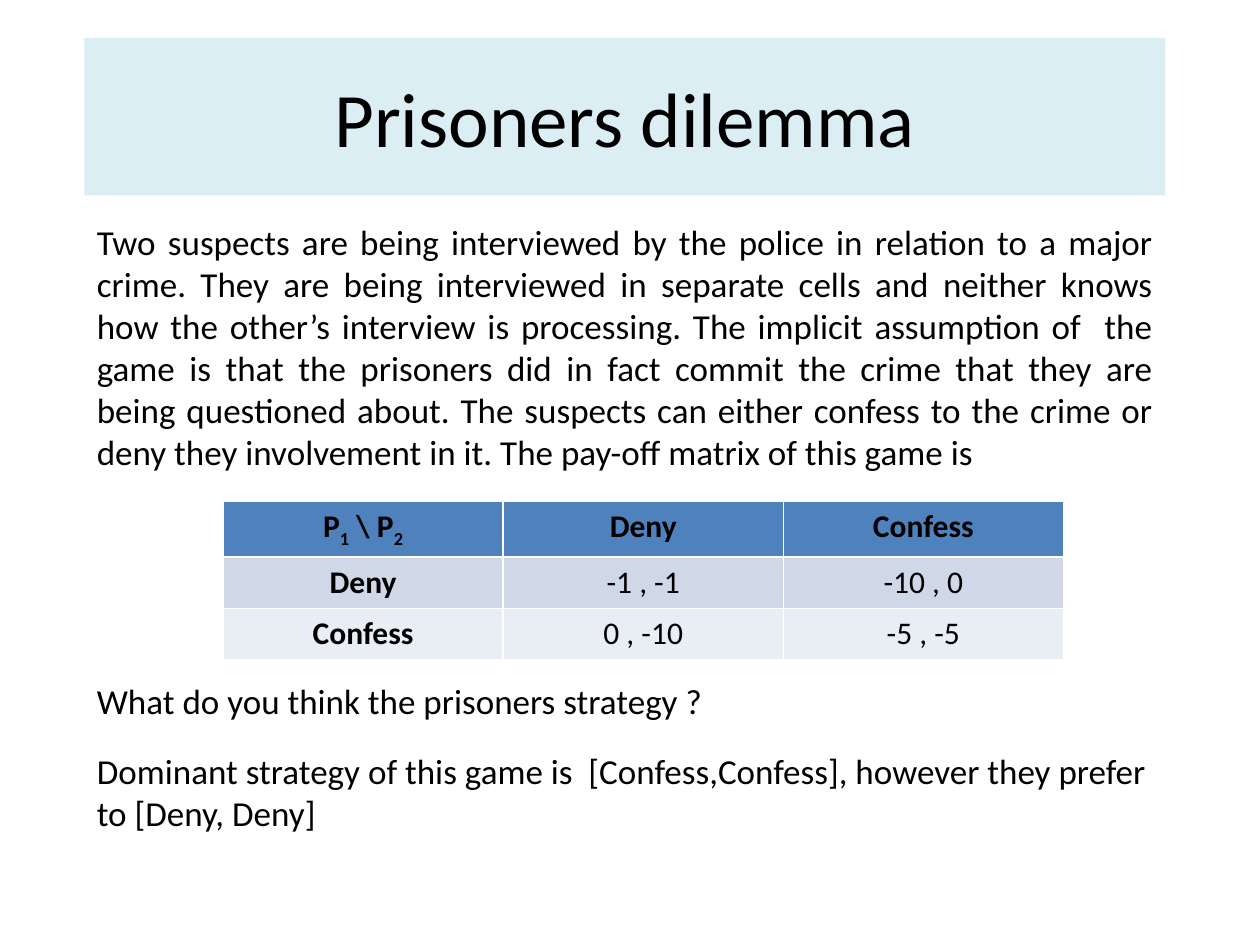
import pptx
import pptx.dml.color
import pptx.enum.shapes
import pptx.enum.text
import pptx.util

Inches = pptx.util.Inches
Pt = pptx.util.Pt
RGBColor = pptx.dml.color.RGBColor
ALIGN = pptx.enum.text.PP_ALIGN
ANCHOR = pptx.enum.text.MSO_ANCHOR

BLACK = RGBColor(0x00, 0x00, 0x00)
PALE_AQUA = RGBColor(0xDB, 0xEE, 0xF4)
HEADER_BLUE = RGBColor(0x4F, 0x81, 0xBD)
BAND_DARK = RGBColor(0xD0, 0xD8, 0xE8)
BAND_LIGHT = RGBColor(0xE9, 0xED, 0xF4)

LEFT, WIDTH = 0.67, 8.58
STORY = (
    "Two suspects are being interviewed by the police in relation to a major crime. "
    "They are being interviewed in separate cells and neither knows how the other’s "
    "interview is processing. The implicit assumption of  the game is that the prisoners "
    "did in fact commit the crime that they are being questioned about. The suspects can "
    "either confess to the crime or deny they involvement in it. The pay-off matrix of "
    "this game is "
)
QUESTION = "What do you think the prisoners strategy ?"
ANSWER = (
    "Dominant strategy of this game is  [Confess,Confess], "
    "however they prefer to [Deny, Deny]"
)
PAYOFFS = [
    [("P", "1", " \\ P", "2"), ("Deny",), ("Confess",)],
    [("Deny",), ("-1 , -1",), ("-10 , 0",)],
    [("Confess",), ("0 , -10",), ("-5 , -5",)],
]
ROW_FILLS = [HEADER_BLUE, BAND_DARK, BAND_LIGHT]


class SlideBuilder:
    def __init__(self, slide, font="Calibri", color=BLACK):
        self.slide = slide
        self.font = font
        self.color = color

    def add_runs(self, tf, parts, size, align, bold=False):
        p = tf.paragraphs[0]
        p.alignment = align
        for i, part in enumerate(parts):
            r = p.add_run()
            r.text = part
            values = {"name": self.font, "size": Pt(size), "bold": bold}
            for name, value in values.items():
                setattr(r.font, name, value)
            r.font.color.rgb = self.color
            if i % 2:
                r._r.get_or_add_rPr().set("baseline", "-25000")

    def banner(self, text, top, height):
        sp = self.slide.shapes.add_shape(
            pptx.enum.shapes.MSO_SHAPE.RECTANGLE,
            Inches(LEFT), Inches(top), Inches(WIDTH), Inches(height),
        )
        sp.shadow.inherit = False
        sp.fill.solid()
        sp.fill.fore_color.rgb = PALE_AQUA
        sp.line.fill.background()
        sp.text_frame.vertical_anchor = ANCHOR.MIDDLE
        self.add_runs(sp.text_frame, [text], 44, ALIGN.CENTER)

    def text(self, text, top, height, width=WIDTH, align=ALIGN.LEFT, wrap=True):
        sp = self.slide.shapes.add_textbox(
            Inches(LEFT), Inches(top), Inches(width), Inches(height)
        )
        tf = sp.text_frame
        values = {
            "word_wrap": wrap,
            "auto_size": pptx.enum.text.MSO_AUTO_SIZE.SHAPE_TO_FIT_TEXT,
        }
        for name, value in values.items():
            setattr(tf, name, value)
        self.add_runs(tf, [text], 20, align)

    def table(self, rows, fills, left, top, width, height):
        table = self.slide.shapes.add_table(
            len(rows), len(rows[0]),
            Inches(left), Inches(top), Inches(width), Inches(height),
        ).table
        for i, (row, fill) in enumerate(zip(rows, fills)):
            for j, parts in enumerate(row):
                cell = table.cell(i, j)
                cell.fill.solid()
                cell.fill.fore_color.rgb = fill
                bold = i == 0 or j == 0
                self.add_runs(cell.text_frame, parts, 18, ALIGN.CENTER, bold)


def main():
    prs = pptx.Presentation()
    prs.slide_width, prs.slide_height = Inches(10), Inches(7.5)
    s = SlideBuilder(prs.slides.add_slide(prs.slide_layouts[6]))
    s.banner("Prisoners dilemma", 0.3, 1.25)
    s.text(STORY, 1.7, 2.12, align=ALIGN.JUSTIFY)
    s.table(PAYOFFS, ROW_FILLS, 1.77, 3.98, 6.67, 1.22)
    s.text(QUESTION, 5.34, 0.44, width=5.11, wrap=False)
    s.text(ANSWER, 5.9, 0.77)
    prs.save("out.pptx")


if __name__ == "__main__":
    main()
